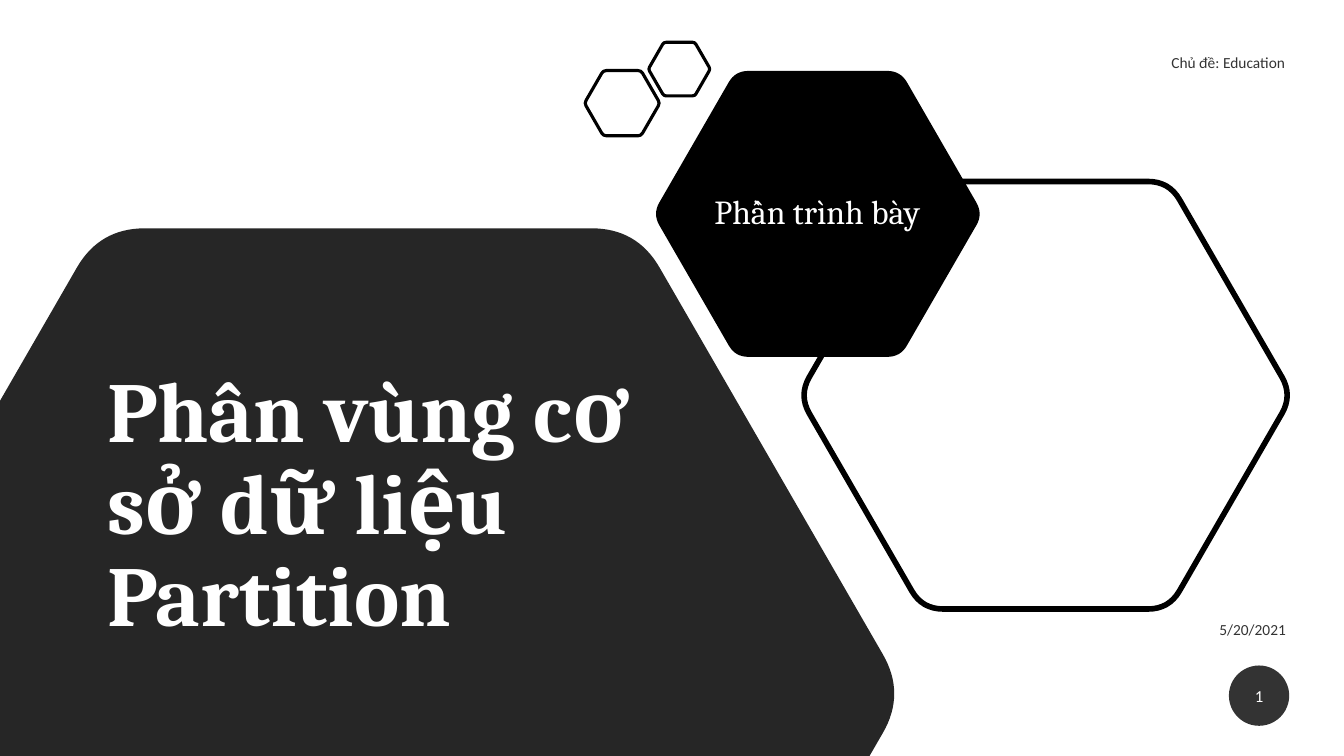
"""Build the opening slide on database partitioning, with rounded hexagons."""
from math import cos, pi, sin

from lxml import etree
from pptx import Presentation
from pptx.dml.color import RGBColor
from pptx.enum.shapes import MSO_SHAPE
from pptx.enum.text import MSO_ANCHOR, PP_ALIGN
from pptx.oxml.ns import qn
from pptx.util import Cm, Pt

LEFT, CENTER, RIGHT = PP_ALIGN.LEFT, PP_ALIGN.CENTER, PP_ALIGN.RIGHT
MIDDLE = MSO_ANCHOR.MIDDLE
ELLIPSE = MSO_SHAPE.OVAL
WIDTH, HEIGHT = 33.87, 19.05
BLACK, DARK, WHITE = "000000", "262626", "FFFFFF"

HEXAGONS = [
    dict(center=(26.35, 9.96), radius=6.22, cut=0.53, line=4),
    dict(center=(20.61, 5.39), radius=4.16, cut=0.33, fill=BLACK),
    dict(center=(9.28, 17.48), radius=13.54, cut=1.14, fill=DARK),
    dict(center=(15.68, 2.6), radius=0.95, cut=0.08, line=2.25),
    dict(center=(17.12, 1.74), radius=0.78, cut=0.06, line=2.25),
]
SMALL = dict(size=11, color=BLACK, alpha=80, align=RIGHT, after=6)
TEXTS = [
    ("Phân vùng cơ sở dữ liệu Partition", (2.45, 8.24, 14.22, 9.07),
     dict(size=61, font="Cambria", bold=True, spacing=0.9)),
    ("Phần trình bày", (17.51, 3.73, 6.17, 3.33),
     dict(size=24, font="Cambria", align=CENTER, spacing=0.9)),
    ("Chủ đề: Education", (21.87, 1.07, 10.77, 1.02), SMALL),
    ("5/20/2021", (26.59, 15.34, 6.07, 1.02), SMALL),
]
PAGE = ("1", (30.97, 16.77, 1.52, 1.52), dict(size=12, align=CENTER, after=6))


def paint(fill, color, alpha=None):
    fill.solid()
    fill.fore_color.rgb = RGBColor.from_string(color)
    if alpha:
        for clr in fill._xPr.iter(qn("a:srgbClr")):
            etree.SubElement(clr, qn("a:alpha"), val=str(alpha * 1000))


def write(sp, text, size, font="Calibri", color=WHITE, alpha=None,
          align=LEFT, bold=False, spacing=1.0, after=0):
    tf = sp.text_frame
    tf.word_wrap = True
    tf.vertical_anchor = MIDDLE
    p = tf.paragraphs[0]
    p.alignment, p.line_spacing, p.space_after = align, spacing, Pt(after)
    r = p.add_run()
    r.text = text
    r.font.size, r.font.name, r.font.bold = Pt(size), font, bold
    paint(r.font.fill, color, alpha)


def mix(a, b, t):
    return tuple(u + (v - u) * t for u, v in zip(a, b))


def clip(corners, inside):
    kept = []
    for i, b in enumerate(corners):
        a = corners[i - 1]
        da, db = inside(a), inside(b)
        if da * db < 0:
            kept.append(mix(a, b, da / (da - db))[:2] + (0,))
        if db >= 0:
            kept.append(b)
    return kept


def hexagon_corners(center, radius, cut):
    corners = [(center[0] + radius * cos(i * pi / 3),
                center[1] + radius * sin(i * pi / 3), cut) for i in range(6)]
    corners = clip(corners, lambda corner: corner[0])
    return clip(corners, lambda corner: HEIGHT - corner[1])


def toward(a, b, length):
    distance = ((a[0] - b[0]) ** 2 + (a[1] - b[1]) ** 2) ** 0.5
    return mix(a[:2], b[:2], length / distance)


def outline(corners):
    points, bends = [], []
    for i, corner in enumerate(corners):
        x, y, cut = corner
        if not cut:
            points.append((x, y))
            continue
        start = toward(corner, corners[i - 1], cut)
        end = toward(corner, corners[(i + 1) % len(corners)], cut)
        bends.append(len(points) + 1)
        points += [start, mix((x, y), mix(start, end, 0.5), 0.5), end]
    return points, bends


def bend(sp, indexes):
    nodes = list(sp._element.iter(qn("a:pt")))
    places = [(int(n.get("x")), int(n.get("y"))) for n in nodes]
    for i in indexes:
        start, middle, end = places[i - 1:i + 2]
        control = mix(mix(start, end, 0.5), middle, 2)
        curve = etree.Element(qn("a:quadBezTo"))
        for x, y in (control, end):
            etree.SubElement(curve, qn("a:pt"), x=str(round(x)), y=str(round(y)))
        segment, following = nodes[i].getparent(), nodes[i + 1].getparent()
        following.getparent().remove(following)
        segment.getparent().replace(segment, curve)


def add_hexagon(s, center, radius, cut, fill=None, line=None):
    points, bends = outline(hexagon_corners(center, radius, cut))
    points = [(Cm(x), Cm(y)) for x, y in points]
    builder = s.shapes.build_freeform(*points[0])
    builder.add_line_segments(points[1:], close=True)
    sp = builder.convert_to_shape()
    bend(sp, bends)
    sp.shadow.inherit = False
    if fill:
        paint(sp.fill, fill)
        sp.line.fill.background()
    else:
        sp.fill.background()
        paint(sp.line.fill, BLACK)
        sp.line.width = Pt(line)


def main():
    prs = Presentation()
    prs.slide_width, prs.slide_height = Cm(WIDTH), Cm(HEIGHT)
    s = prs.slides.add_slide(prs.slide_layouts[6])
    for hexagon in HEXAGONS:
        add_hexagon(s, **hexagon)
    for text, box, style in TEXTS:
        write(s.shapes.add_textbox(*map(Cm, box)), text, **style)
    number, box, style = PAGE
    sp = s.shapes.add_shape(ELLIPSE, *map(Cm, box))
    sp.shadow.inherit = False
    paint(sp.fill, BLACK, 80)
    sp.line.fill.background()
    write(sp, number, **style)
    prs.save("out.pptx")


if __name__ == "__main__":
    main()
